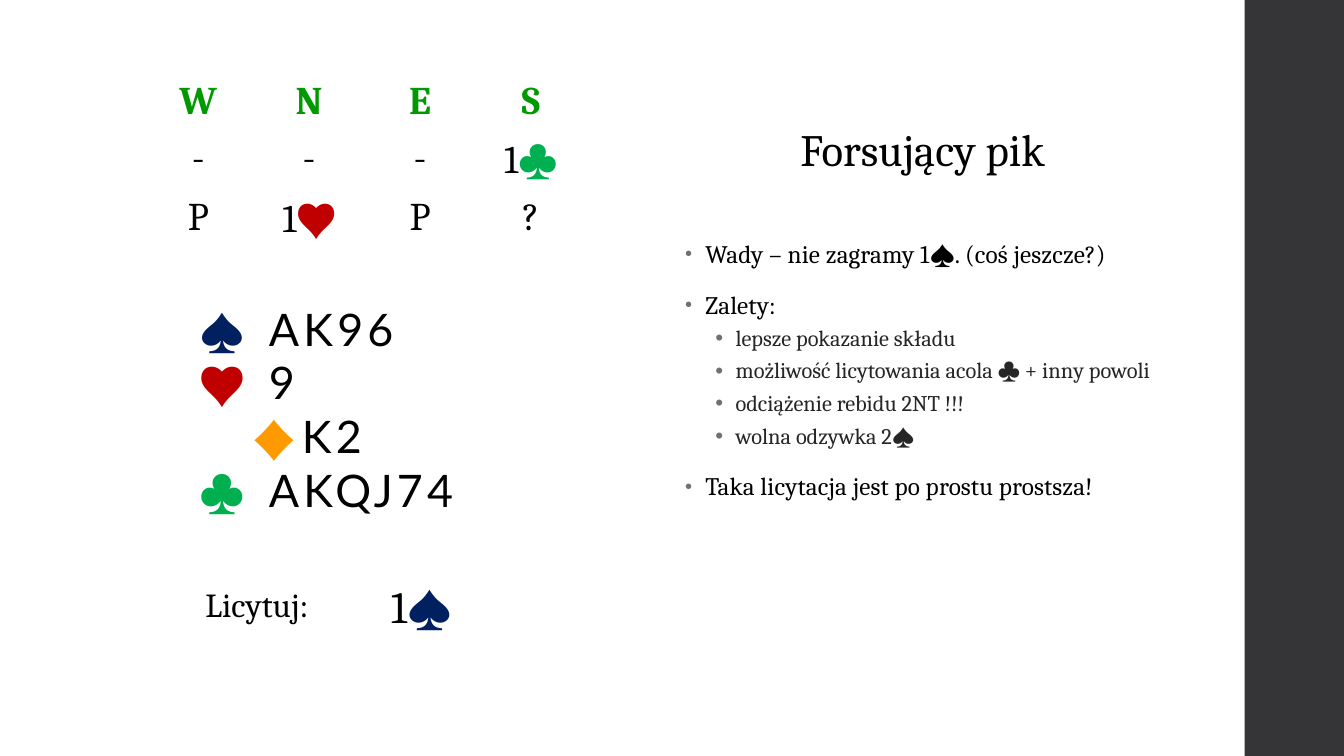
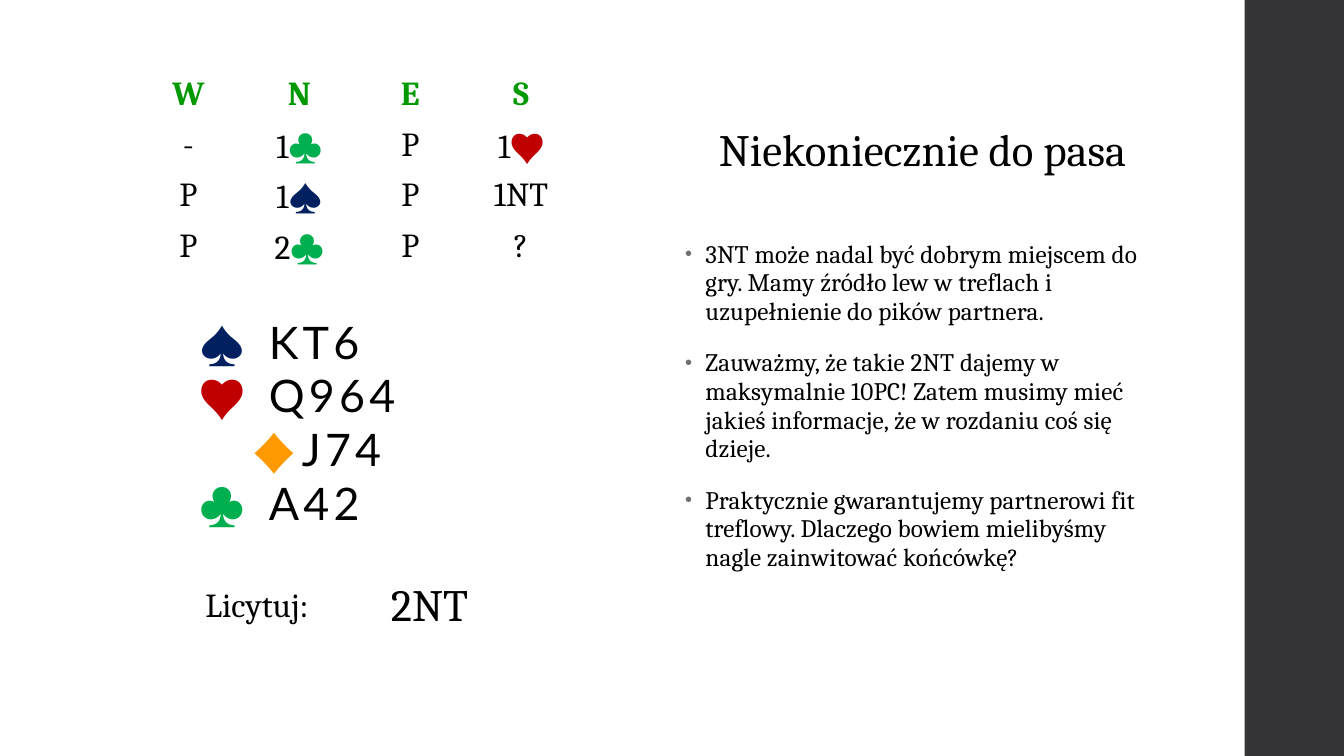
"""Build two bridge bidding slides, each with an auction, a hand, a bid and its commentary."""
from dataclasses import dataclass
from itertools import groupby

from lxml import etree
from pptx import Presentation
from pptx.dml.color import RGBColor
from pptx.enum import shapes, text
from pptx.oxml import ns
from pptx.util import Pt


@dataclass(frozen=True)
class Theme:
    serif: str = "Cambria"
    sans: str = "Lato"
    ink: str = "000000"
    soft: str = "262626"
    band: str = "353537"
    seat: str = "009900"
    bullet: str = "6F6F74"
    spade: str = "002060"
    heart: str = "C00000"
    diamond: str = "FF9900"
    club: str = "00B050"
    big: int = 32
    label: int = 24
    body: int = 18
    detail: int = 16
    suit_gap: float = 3
    body_gap: float = 0.1

    @property
    def suits(self):
        return {"♠": self.spade, "♥": self.heart, "♦": self.diamond, "♣": self.club}


class Deck:
    def __init__(self, theme):
        self.t = theme
        self.prs = Presentation()
        self.prs.slide_width, self.prs.slide_height = Pt(960), Pt(540)
        self.s = None

    def slide(self):
        self.s = self.prs.slides.add_slide(self.prs.slide_layouts[6])
        sp = self.s.shapes.add_shape(shapes.MSO_SHAPE.RECTANGLE, Pt(889), 0, Pt(71), Pt(540))
        sp.shadow.inherit = False
        sp.fill.solid()
        sp.fill.fore_color.rgb = RGBColor.from_string(self.t.band)
        sp.line.fill.background()

    def style(self, r, size, color, font=None, bold=False, gap=0):
        r.font.name = font or self.t.serif
        r.font.size = Pt(size)
        r.font.bold = bold
        r.font.color.rgb = RGBColor.from_string(color)
        if gap:
            r.font._element.set("spc", str(round(gap * 100)))

    def call(self, p, bid, size, color, bold=False):
        for suit, chars in groupby(bid, lambda c: self.t.suits.get(c)):
            r = p.add_run()
            r.text = "".join(chars)
            if suit:
                self.style(r, size, suit, self.t.sans, gap=self.t.suit_gap)
            else:
                self.style(r, size, color, bold=bold)

    def box(self, x, y, w, h):
        tf = self.s.shapes.add_textbox(Pt(x), Pt(y), Pt(w), Pt(h)).text_frame
        tf.word_wrap = True
        return tf

    def lines(self, tf, items):
        for i, item in enumerate(items):
            yield (tf.add_paragraph() if i else tf.paragraphs[0]), item

    def element(self, parent, tag, **attrs):
        return etree.SubElement(parent, ns.qn(tag), {k: str(v) for k, v in attrs.items()})

    def grid(self, x, y, widths, rows):
        tbl = self.s.shapes.add_table(len(rows), len(widths), Pt(x), Pt(y),
                                      Pt(sum(widths)), Pt(29.5 * len(rows))).table
        tbl.first_row = tbl.horz_banding = False
        for col, w in zip(tbl.columns, widths):
            col.width = Pt(w)
        for i, row in enumerate(rows):
            for j, value in enumerate(row):
                cell = tbl.cell(i, j)
                cell.fill.background()
                cell.vertical_anchor = text.MSO_ANCHOR.MIDDLE
                p = cell.text_frame.paragraphs[0]
                p.alignment = text.PP_ALIGN.CENTER
                yield i, j, p, value

    def auction(self, x, y, size, calls):
        for i, _, p, bid in self.grid(x, y, [79.2] * 4, ["WNES", *calls]):
            self.call(p, bid, size, self.t.ink if i else self.t.seat, bold=not i)

    def answer(self, bid):
        for _, j, p, value in self.grid(95, 410.4, [177, 114], [["Licytuj:", bid]]):
            if j:
                p.alignment = text.PP_ALIGN.LEFT
            self.call(p, value, self.t.big if j else self.t.label, self.t.ink)

    def hand(self, y, holdings):
        tf = self.box(134.6, y, 251.3, 162.7)
        for p, (suit, cards) in self.lines(tf, zip(self.t.suits, holdings)):
            pPr = p._p.get_or_add_pPr()
            if suit == "♦":
                pPr.set("marL", str(Pt(2)))
                pPr.set("indent", "0")
            tabs = self.element(pPr, "a:tabLst")
            for pos, side in ((36, "r"), (50.4, "l")):
                self.element(tabs, "a:tab", pos=Pt(pos), algn=side)
            for part, color in ((f"\t{suit}\t", self.t.suits[suit]), (cards, self.t.ink)):
                r = p.add_run()
                r.text = part
                self.style(r, self.t.big, color, self.t.sans, gap=self.t.suit_gap)

    def title(self, words):
        tf = self.box(482.4, 82.8, 353.5, 46)
        tf.vertical_anchor = text.MSO_ANCHOR.MIDDLE
        tf.text = words
        p = tf.paragraphs[0]
        p.alignment = text.PP_ALIGN.CENTER
        self.style(p.runs[0], self.t.big, self.t.ink)

    def comments(self, items):
        tf = self.box(482.4, 168, 352.8, 322)
        for i, (p, (level, words)) in enumerate(self.lines(tf, items)):
            p.text = words
            p.level = level
            pPr = p._p.get_or_add_pPr()
            pPr.set("marL", str(Pt(36 if level else 14.4)))
            pPr.set("indent", str(Pt(-14.4)))
            self.element(self.element(pPr, "a:buClr"), "a:srgbClr", val=self.t.bullet)
            if not level:
                self.element(pPr, "a:buSzPct", val=80000)
            self.element(pPr, "a:buFont", typeface="Arial")
            self.element(pPr, "a:buChar", char="•")
            before, after, p.line_spacing = (3, 3, 0.9) if level else (14, 2, 0.95)
            p.space_before, p.space_after = Pt(before if i else 0), Pt(after)
            if level:
                self.style(p.runs[0], self.t.detail, self.t.soft)
            else:
                self.style(p.runs[0], self.t.body, self.t.ink, gap=self.t.body_gap)


def main():
    deck = Deck(Theme())

    deck.slide()
    deck.auction(102, 53.3, 28, [["-", "-", "-", "1♣"], ["P", "1♥", "P", "?"]])
    deck.hand(211.7, ["AK96", "9", "K2", "AKQJ74"])
    deck.answer("1♠")
    deck.title("Forsujący pik")
    deck.comments([
        (0, "Wady – nie zagramy 1♠. (coś jeszcze?)"),
        (0, "Zalety:"),
        (1, "lepsze pokazanie składu"),
        (1, "możliwość licytowania acola ♣ + inny powoli"),
        (1, "odciążenie rebidu 2NT !!!"),
        (1, "wolna odzywka 2♠"),
        (0, "Taka licytacja jest po prostu prostsza!"),
    ])

    deck.slide()
    deck.auction(95, 49.7, 24, [["-", "1♣", "P", "1♥"], ["P", "1♠", "P", "1NT"],
                                ["P", "2♣", "P", "?"]])
    deck.hand(221, ["KT6", "Q964", "J74", "A42"])
    deck.answer("2NT")
    deck.title("Niekoniecznie do pasa")
    deck.comments([
        (0, "3NT może nadal być dobrym miejscem do gry. Mamy źródło lew w treflach "
            "i uzupełnienie do pików partnera."),
        (0, "Zauważmy, że takie 2NT dajemy w maksymalnie 10PC! Zatem musimy mieć "
            "jakieś informacje, że w rozdaniu coś się dzieje."),
        (0, "Praktycznie gwarantujemy partnerowi fit treflowy. Dlaczego bowiem "
            "mielibyśmy nagle zainwitować końcówkę?"),
    ])

    deck.prs.save("out.pptx")


if __name__ == "__main__":
    main()
